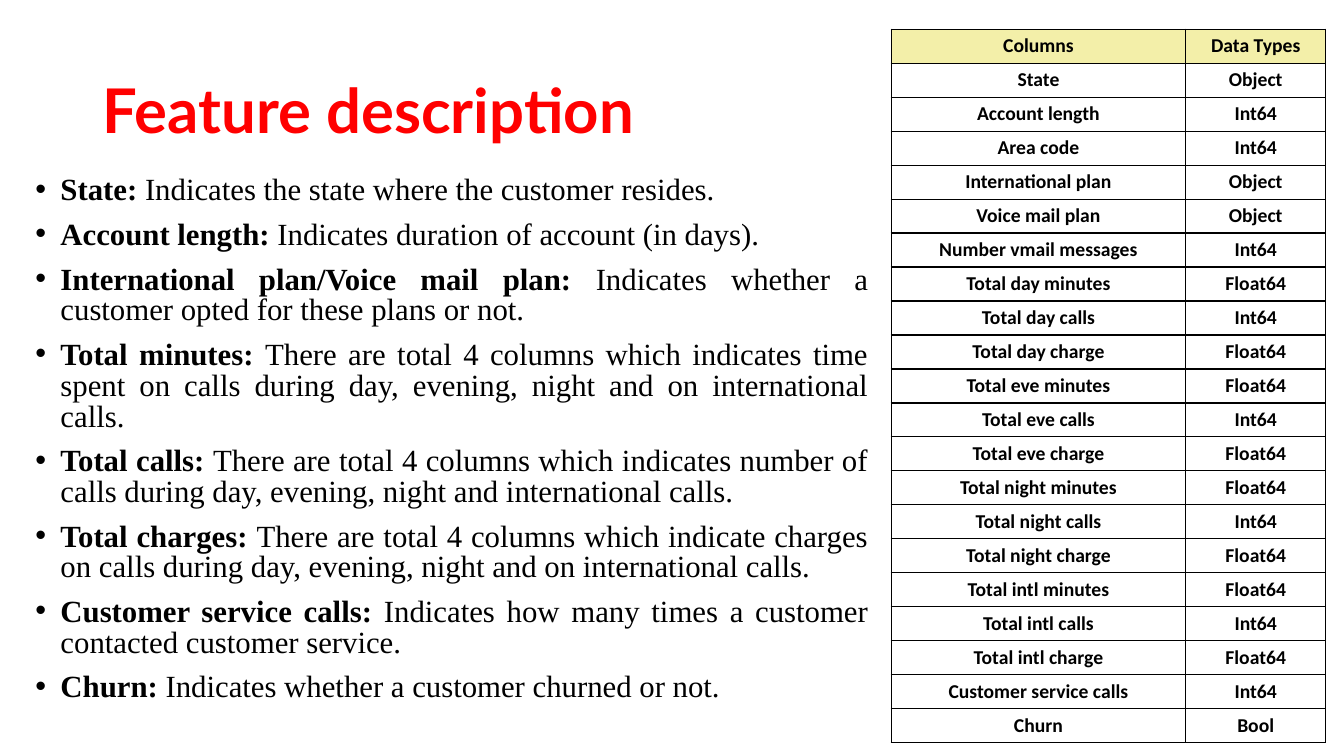
from lxml import etree
from pptx import Presentation
from pptx.dml.color import RGBColor
from pptx.enum.text import MSO_ANCHOR, MSO_AUTO_SIZE, PP_ALIGN
from pptx.oxml.ns import qn
from pptx.util import Inches, Pt

LEFT, CENTER, JUSTIFY = PP_ALIGN.LEFT, PP_ALIGN.CENTER, PP_ALIGN.JUSTIFY
TOP, MIDDLE = MSO_ANCHOR.TOP, MSO_ANCHOR.MIDDLE
NO_AUTOFIT = MSO_AUTO_SIZE.NONE

RED = RGBColor(0xFF, 0x00, 0x00)
BLACK = RGBColor(0x00, 0x00, 0x00)
WHITE = RGBColor(0xFF, 0xFF, 0xFF)
HEADER_YELLOW = RGBColor(0xF3, 0xEF, 0xA9)

FEATURES = [
    ("State: ", "Indicates the state where the customer resides."),
    ("Account length: ", "Indicates duration of account (in days)."),
    ("International plan/Voice mail plan: ",
     "Indicates whether a customer opted for these plans or not."),
    ("Total minutes: ",
     "There are total 4 columns which indicates time spent on calls during day, "
     "evening, night and on international calls."),
    ("Total calls: ",
     "There are total 4 columns which indicates number of calls during day, "
     "evening, night and international calls."),
    ("Total charges: ",
     "There are total 4 columns which indicate charges on calls during day, "
     "evening, night and on international calls."),
    ("Customer service calls: ",
     "Indicates how many times a customer contacted customer service."),
    ("Churn: ", "Indicates whether a customer churned or not."),
]

USAGE_TYPES = [("minutes", "Float64"), ("calls", "Int64"), ("charge", "Float64")]
COLUMN_TYPES = [
    ("Columns", "Data Types"),
    ("State", "Object"),
    ("Account length", "Int64"),
    ("Area code", "Int64"),
    ("International plan", "Object"),
    ("Voice mail plan", "Object"),
    ("Number vmail messages", "Int64"),
    *[(f"Total {period} {measure}", data_type)
      for period in ("day", "eve", "night", "intl")
      for measure, data_type in USAGE_TYPES],
    ("Customer service calls", "Int64"),
    ("Churn", "Bool"),
]


def place(shape, left, top, width, height):
    shape.left, shape.top = Inches(left), Inches(top)
    shape.width, shape.height = Inches(width), Inches(height)


def add_run(paragraph, text, font_name, size, color, bold=True):
    run = paragraph.add_run()
    run.text = text
    run.font.name = font_name
    run.font.size = Pt(size)
    run.font.bold = bold
    run.font.color.rgb = color


def set_bullet(paragraph, indent):
    """Give the paragraph a round bullet with a hanging indent."""
    properties = paragraph._p.get_or_add_pPr()
    properties.set("marL", str(Inches(indent)))
    properties.set("indent", str(-Inches(indent)))
    etree.SubElement(properties, qn("a:buFont"), typeface="Arial")
    etree.SubElement(properties, qn("a:buChar"), char="•")


def set_borders(cell, color, width):
    properties = cell._tc.get_or_add_tcPr()
    for position, side in enumerate(("lnL", "lnR", "lnT", "lnB")):
        line = etree.Element(qn(f"a:{side}"), w=str(Pt(width)))
        fill = etree.SubElement(line, qn("a:solidFill"))
        etree.SubElement(fill, qn("a:srgbClr"), val=str(color))
        properties.insert(position, line)


def fill_title(title):
    place(title, 0.92, 0.4, 11.5, 1.45)
    frame = title.text_frame
    frame.auto_size = NO_AUTOFIT
    frame.vertical_anchor = MIDDLE
    paragraph = frame.paragraphs[0]
    paragraph.alignment = LEFT
    paragraph.line_spacing = 0.9
    add_run(paragraph, "Feature description", "Lato", 44, RED)


def fill_feature_list(body):
    place(body, 0.25, 1.7, 8.46, 5.65)
    frame = body.text_frame
    frame.auto_size = NO_AUTOFIT
    frame.vertical_anchor = TOP
    for index, (label, description) in enumerate(FEATURES):
        paragraph = frame.add_paragraph() if index else frame.paragraphs[0]
        paragraph.alignment = JUSTIFY
        paragraph.line_spacing = 0.83
        paragraph.space_before = Pt(10)
        set_bullet(paragraph, 0.25)
        add_run(paragraph, label, "Times New Roman", 22, BLACK)
        add_run(paragraph, description, "Times New Roman", 22, BLACK, bold=False)


def fill_cell(cell, text, color):
    cell.fill.solid()
    cell.fill.fore_color.rgb = color
    cell.vertical_anchor = MIDDLE
    set_borders(cell, BLACK, 1)
    paragraph = cell.text_frame.paragraphs[0]
    paragraph.alignment = CENTER
    add_run(paragraph, text, "Calibri", 14, BLACK)


def add_type_table(slide):
    table = slide.shapes.add_table(
        len(COLUMN_TYPES), 2,
        Inches(8.84), Inches(0.29), Inches(4.31), Inches(7.06)).table
    table.first_row = False
    table.horz_banding = False
    for column, width in zip(table.columns, (2.92, 1.39)):
        column.width = Inches(width)
    for row_index, texts in enumerate(COLUMN_TYPES):
        color = WHITE if row_index else HEADER_YELLOW
        for cell, text in zip(table.rows[row_index].cells, texts):
            fill_cell(cell, text, color)


def main():
    presentation = Presentation()
    presentation.slide_width = Inches(13.33)
    presentation.slide_height = Inches(7.5)
    slide = presentation.slides.add_slide(presentation.slide_layouts[1])
    fill_title(slide.shapes.title)
    fill_feature_list(slide.placeholders[1])
    add_type_table(slide)
    presentation.save("out.pptx")


if __name__ == "__main__":
    main()
